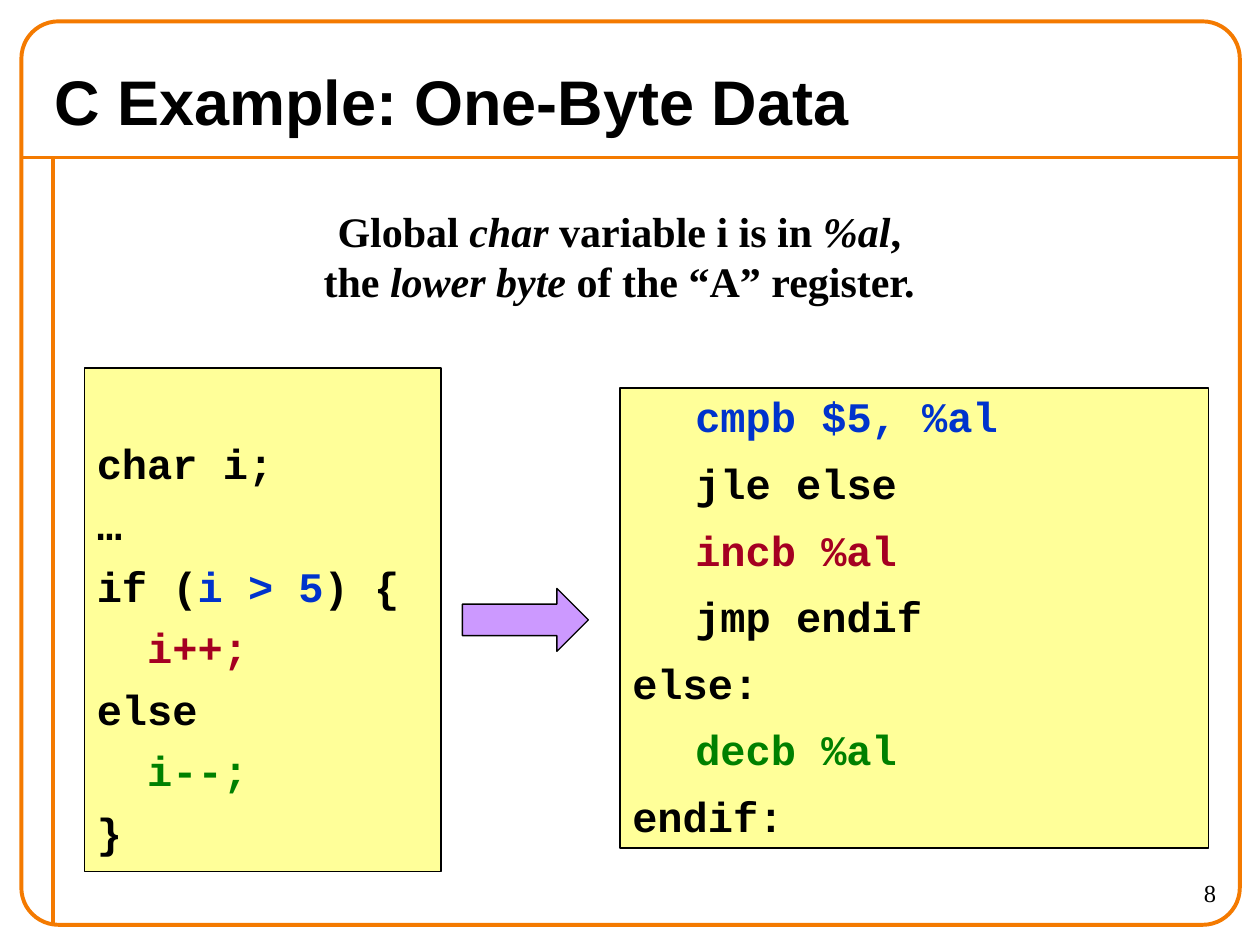
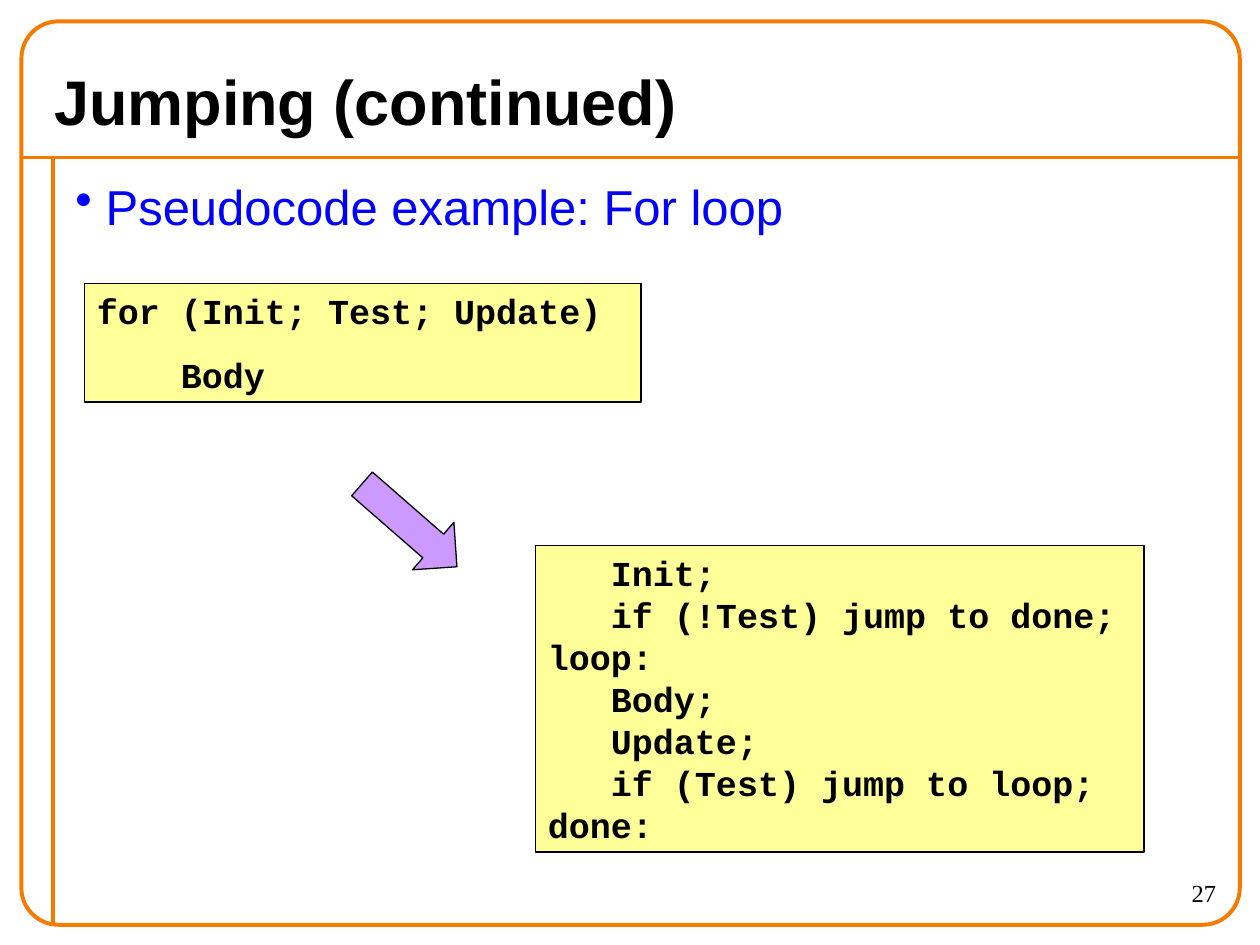
from lxml import etree
from pptx import Presentation
from pptx.dml.color import RGBColor as Rgb
from pptx.enum.shapes import MSO_CONNECTOR as Line, MSO_SHAPE as Shape
from pptx.enum.text import MSO_ANCHOR as Anchor, PP_ALIGN as Align
from pptx.oxml.ns import qn
from pptx.util import Inches, Pt

HUES = {
    "frame": "F47A00", "ink": "000000", "paper": "FFFF99", "arrow": "CC99FF",
    "test": "0033CC", "inc": "A50021", "dec": "008000", "point": "0000FF",
}
SANS, SERIF, MONO = "Arial", "Times New Roman", "Courier New"

SLIDES = [
    {
        "title": "C Example: One-Byte Data",
        "number": "8",
        "note": [
            ("Global ", False), ("char", True), (" variable i is in ", False),
            ("%al", True), (", the ", False), ("lower byte", True),
            (" of the “A” register.", False),
        ],
        "code": [
            {
                "box": (4.92, 3.08, 4.67, 3.65), "size": 24, "top": 0.1,
                "edge": 0.75, "lead": 0.8, "gap": 15,
                "lines": [
                    [("\tcmpb $5, %al", "test")],
                    "\tjle else",
                    [("\tincb\t%al", "inc")],
                    "\tjmp endif",
                    "else:",
                    [("\tdecb\t%al", "dec")],
                    "endif:",
                ],
            },
            {
                "box": (0.67, 2.92, 2.83, 4), "size": 24, "top": 0.66,
                "edge": 0.75, "lead": 0.7, "gap": 15,
                "lines": [
                    "char i;",
                    "…",
                    [("if (", "ink"), ("i > 5", "test"), (") {", "ink")],
                    [("  i++;", "inc")],
                    "else",
                    [("  i--;", "dec")],
                    "}",
                ],
            },
        ],
        "arrow": (3.67, 4.67, 0),
    },
    {
        "title": "Jumping (continued)",
        "number": "27",
        "point": "Pseudocode example: For loop",
        "code": [
            {
                "box": (0.67, 2.25, 4.42, 0.94), "size": 20, "top": 0.05,
                "edge": 1, "lead": 1, "gap": 12.5,
                "lines": ["for (Init; Test; Update)", "    Body"],
            },
            {
                "box": (4.25, 4.33, 4.83, 2.43), "size": 20, "top": 0.05,
                "edge": 1, "lead": 1, "gap": 0,
                "lines": [
                    "   Init;",
                    "   if (!Test) jump to done;",
                    "loop:",
                    "   Body;",
                    "   Update;",
                    "   if (Test) jump to loop;",
                    "done:",
                ],
            },
        ],
        "arrow": (2.75, 3.92, 41.1),
    },
]


def hue(name):
    return Rgb.from_string(HUES[name])


def style(para, face, size, bold=False):
    para.font.name = face
    para.font.size = Pt(size)
    para.font.bold = bold


def write(para, text, color="ink"):
    run = para.add_run()
    run.text = text
    run.font.color.rgb = hue(color)
    return run


def add_text(slide, *box):
    frame = slide.shapes.add_textbox(*map(Inches, box)).text_frame
    frame.word_wrap = True
    return frame.paragraphs[0]


def add_block(slide, kind, box, fill, edge, width):
    shape = slide.shapes.add_shape(kind, *map(Inches, box))
    shape.shadow.inherit = False
    if fill:
        shape.fill.solid()
        shape.fill.fore_color.rgb = hue(fill)
    else:
        shape.fill.background()
    shape.line.color.rgb = hue(edge)
    shape.line.width = Pt(width)
    return shape


def add_frame(slide):
    left, rail, right, rule, foot = 0.17, 0.42, 9.83, 1.25, 7.33
    for ends in ((left, rule, right, rule), (rail, rule, rail, foot)):
        line = slide.shapes.add_connector(Line.STRAIGHT, *map(Inches, ends))
        line.line.color.rgb = hue("frame")
        line.line.width = Pt(2.25)
        etree.SubElement(line._element.spPr, qn("a:effectLst"))
    border = add_block(slide, Shape.ROUNDED_RECTANGLE, (left, left, 9.67, 7.17),
                       None, "frame", 2.25)
    border.adjustments[0] = 0.041


def add_title(slide, text):
    title = slide.shapes.title
    title.left, title.top, title.width, title.height = map(
        Inches, (0.33, 0.42, 9.33, 0.75))
    title.text_frame.vertical_anchor = Anchor.MIDDLE
    para = title.text_frame.paragraphs[0]
    para.alignment = Align.LEFT
    style(para, SANS, 36, True)
    write(para, text)


def add_number(slide, text):
    para = add_text(slide, 8.75, 6.92, 1, 0.42)
    para.alignment = Align.RIGHT
    style(para, SERIF, 14)
    write(para, text)


def add_note(slide, runs):
    para = add_text(slide, 2.33, 1.58, 5.17, 0.9)
    para.alignment = Align.CENTER
    style(para, SERIF, 24, True)
    for text, slant in runs:
        write(para, text).font.italic = slant


def add_point(slide, text):
    para = add_text(slide, 0.5, 1.35, 9.25, 0.6)
    props = para._p.get_or_add_pPr()
    props.set("marL", str(Inches(0.24)))
    props.set("indent", str(-Inches(0.24)))
    tint = etree.SubElement(props, qn("a:buClr"))
    etree.SubElement(tint, qn("a:srgbClr"), val=HUES["point"])
    etree.SubElement(props, qn("a:buChar"), char="•")
    style(para, SANS, 28)
    write(para, text, "point")


def add_code(slide, code):
    shape = add_block(slide, Shape.RECTANGLE, code["box"], "paper", "ink",
                      code["edge"])
    frame = shape.text_frame
    frame.word_wrap = True
    frame.vertical_anchor = Anchor.TOP
    frame.margin_top = Inches(code["top"])
    for i, line in enumerate(code["lines"]):
        para = frame.add_paragraph() if i else frame.paragraphs[0]
        para.alignment = Align.LEFT
        para.line_spacing = code["lead"]
        para.space_before = Pt(code["gap"] if i else 0)
        style(para, MONO, code["size"], True)
        for text, color in [(line, "ink")] if isinstance(line, str) else line:
            write(para, text, color)


def add_arrow(slide, left, top, turn):
    arrow = add_block(slide, Shape.RIGHT_ARROW, (left, top, 1, 0.5),
                      "arrow", "ink", 0.75)
    arrow.rotation = turn


def main():
    deck = Presentation()
    deck.slide_width, deck.slide_height = Inches(10), Inches(7.5)
    for page in SLIDES:
        slide = deck.slides.add_slide(deck.slide_layouts[5])
        add_frame(slide)
        add_title(slide, page["title"])
        add_number(slide, page["number"])
        if "note" in page:
            add_note(slide, page["note"])
        if "point" in page:
            add_point(slide, page["point"])
        for code in page["code"]:
            add_code(slide, code)
        add_arrow(slide, *page["arrow"])
    deck.save("out.pptx")


if __name__ == "__main__":
    main()
